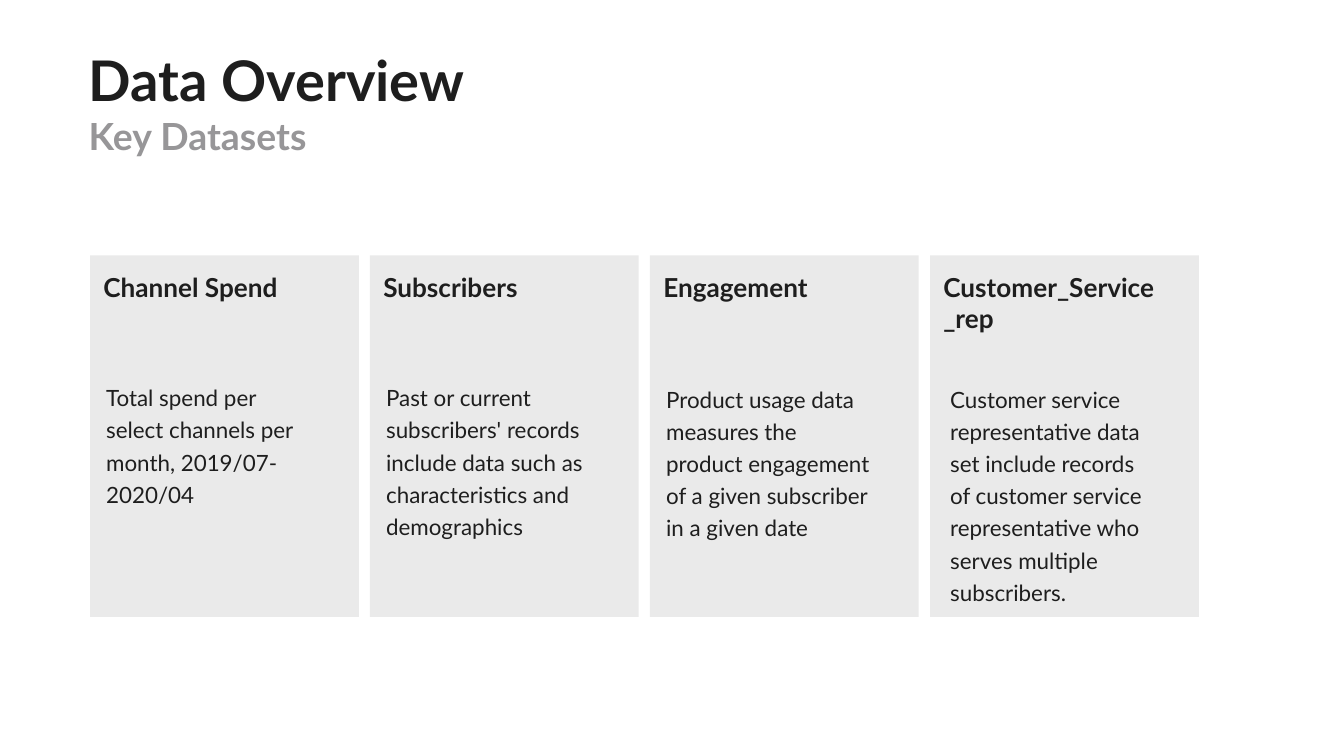
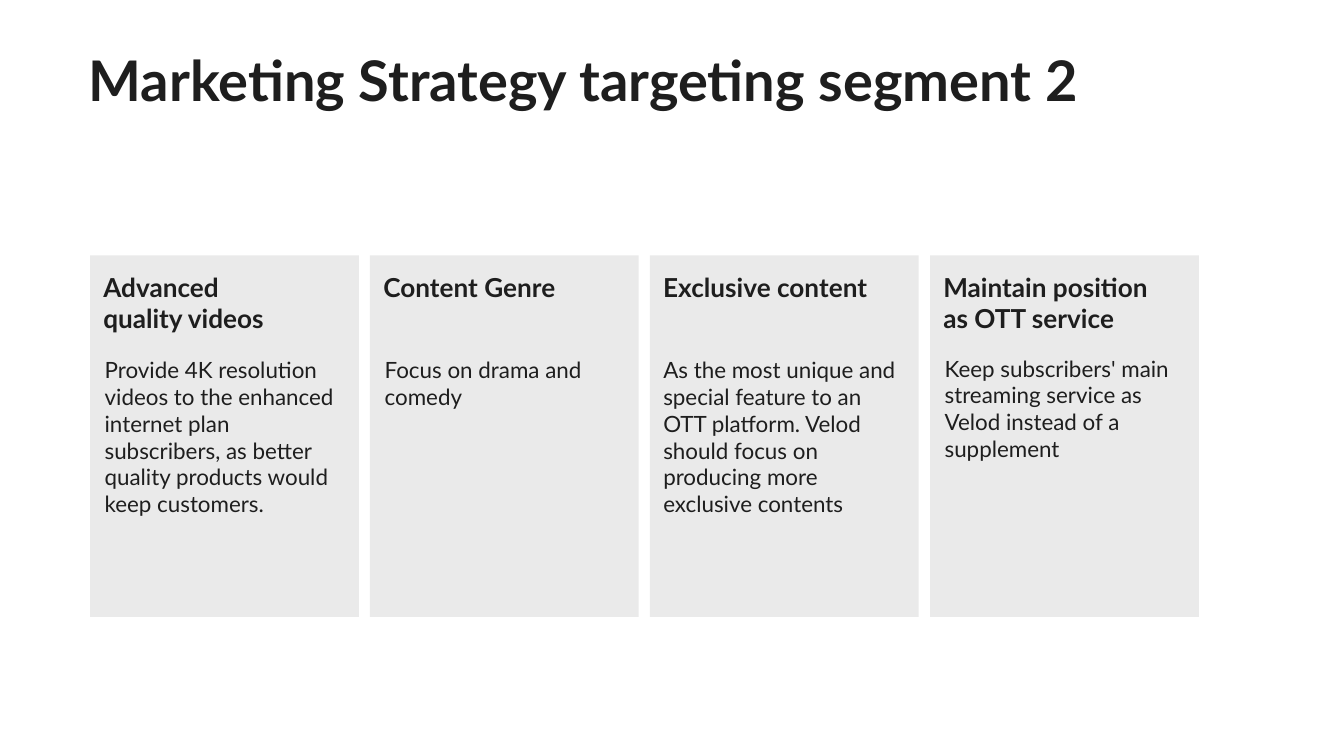
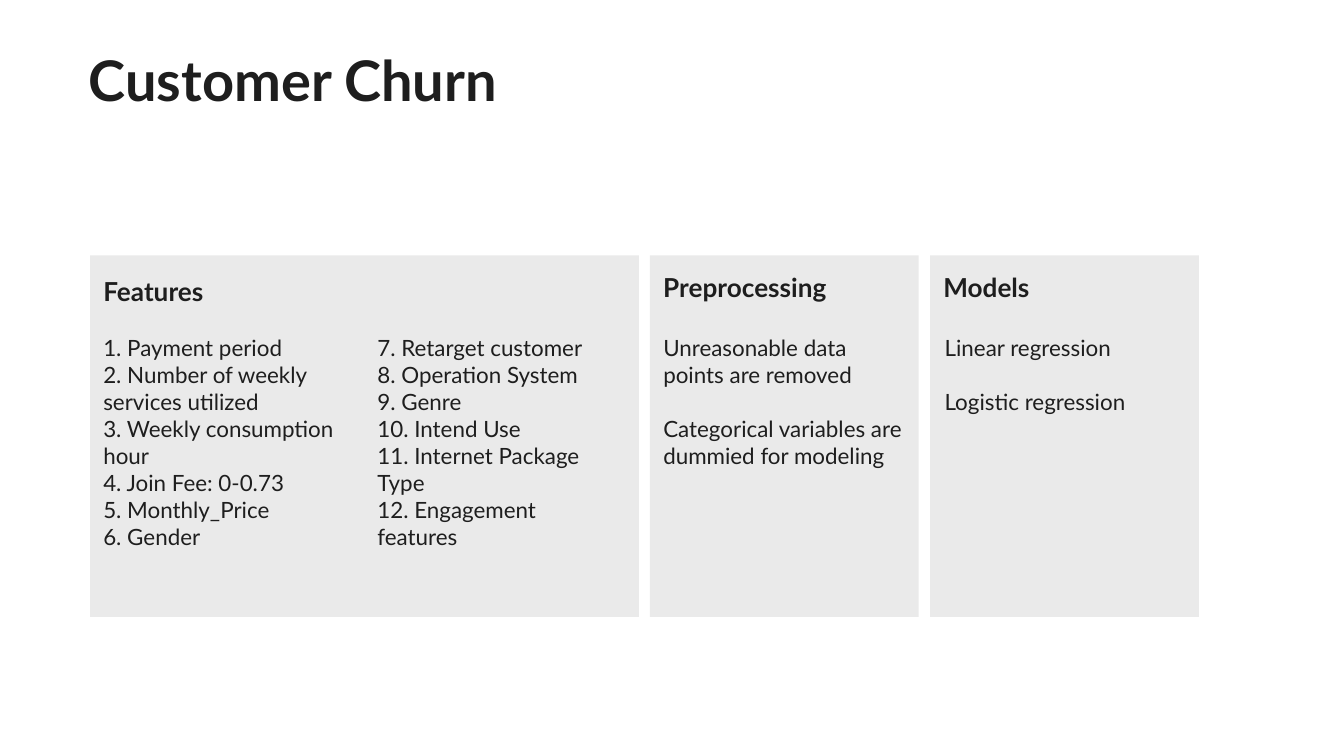
from dataclasses import dataclass

from pptx import Presentation
from pptx.dml.color import RGBColor
from pptx.enum.shapes import MSO_SHAPE
from pptx.enum.text import MSO_ANCHOR, MSO_AUTO_SIZE, PP_ALIGN
from pptx.slide import Slide
from pptx.text.text import TextFrame
from pptx.util import Inches, Pt

INK = RGBColor(0x1E, 0x1E, 0x1E)
MUTED = RGBColor(0x97, 0x96, 0x98)
PANEL = RGBColor(0xEA, 0xEA, 0xEA)
FONT = "Lato"

WIDTH = 10
HEIGHT = WIDTH * 9 / 16
LEFT, RIGHT = 0.67, 8.92
TOP, CARD_W, CARD_H = 1.9, 2, 2.69
PITCH = (RIGHT - LEFT - CARD_W) / 3
HEAD_H = {1: 0.34, 2: 0.57}
TIGHT = (0.02, 0.02)
ROOMY = (0.1, 0.05)


@dataclass(frozen=True)
class Body:
    """Text of a card, placed from the card's left edge and the slide's top."""
    lines: tuple[str, ...]
    top: float
    high: float
    shift: float = 0
    wide: float = 1.99
    inset: tuple[float, float] = ROOMY
    pitch: float = 1
    gap: float = 0


@dataclass(frozen=True)
class Card:
    head: str
    bodies: tuple[Body, ...]
    span: int = 1
    wide: float = 1.69
    rows: int = 1
    drop: float = 0.07


@dataclass(frozen=True)
class Page:
    title: str
    cards: tuple[Card, ...]
    sub: str = ""
    wide: float = 8.47


def loose(text: str, top: float = 2.8, shift: float = 0.1) -> Body:
    """Body with open line spacing and thin insets."""
    return Body((text,), top, 0.9, shift, 1.6, TIGHT, 1.2)


PAGES = (
    Page("Data Overview", (
        Card("Channel Spend", (loose(
            "Total spend per select channels per month, 2019/07- 2020/04"),)),
        Card("Subscribers", (loose(
            "Past or current subscribers' records include data such as "
            "characteristics and demographics"),)),
        Card("Engagement", (loose(
            "Product usage data measures the product engagement of a given "
            "subscriber in a given date", 2.81),)),
        Card("Customer_Service_rep", (loose(
            "Customer service representative data set include records of "
            "customer service representative who serves multiple "
            "subscribers.", 2.81, 0.13),), wide=1.85, rows=2),
    ), sub="Key Datasets", wide=4.11),
    Page("Marketing Strategy targeting segment 2", (
        Card("Advanced quality videos", (Body((
            "Provide 4K resolution videos to the enhanced internet plan "
            "subscribers, as better quality products would keep customers.",
        ), 2.6, 1.72, 0.01),), rows=2),
        Card("Content Genre", (Body((
            "Focus on drama and comedy",), 2.6, 0.71, 0.01),)),
        Card("Exclusive content", (Body((
            "As the most unique and special feature to an OTT platform. Velod "
            "should focus on producing more exclusive contents",
        ), 2.6, 1.31),), wide=1.93),
        Card("Maintain position as OTT service", (Body((
            "Keep subscribers' main streaming service as Velod instead of a "
            "supplement",), 2.59, 0.91, 0.01),), wide=1.85, rows=2),
    )),
    Page("Customer Churn", (
        Card("Features", (
            Body(("1. Payment period", "2. Number of weekly services utilized",
                  "3. Weekly consumption hour", "4. Join Fee: 0-0.73",
                  "5. Monthly_Price", "6. Gender"), 2.44, 2.12),
            Body(("7. Retarget customer", "8. Operation System", "9. Genre",
                  "10. Intend Use", "11. Internet Package Type",
                  "12. Engagement features"), 2.44, 1.92, 2.04),
        ), span=2, drop=0.1),
        Card("Preprocessing", (Body((
            "Unreasonable data points are removed",
            "Categorical variables are dummied for modeling",
        ), 2.44, 1.51, gap=14.4),), wide=1.93),
        Card("Models", (Body((
            "Linear regression", "Logistic regression",
        ), 2.44, 0.71, 0.01, gap=14.4),), wide=1.85),
    )),
)


def set_frame(frame: TextFrame, inset: tuple[float, float]) -> None:
    frame.word_wrap = True
    frame.auto_size = MSO_AUTO_SIZE.NONE
    frame.vertical_anchor = MSO_ANCHOR.TOP
    frame.margin_left = frame.margin_right = Inches(inset[0])
    frame.margin_top = frame.margin_bottom = Inches(inset[1])


def add_line(frame: TextFrame, text: str, size: float, first: bool,
             bold: bool = False, color: RGBColor = INK,
             pitch: float = 1, gap: float = 0) -> None:
    """Write one paragraph; the gap stands above all but the first."""
    line = frame.paragraphs[0] if first else frame.add_paragraph()
    line.alignment = PP_ALIGN.LEFT
    line.line_spacing = pitch
    line.space_before = Pt(0 if first else gap)
    run = line.add_run()
    run.text = text
    font = run.font
    font.name, font.size, font.bold = FONT, Pt(size), bold
    font.color.rgb = color


def add_box(slide: Slide, left: float, top: float, wide: float, high: float,
            inset: tuple[float, float]) -> TextFrame:
    box = slide.shapes.add_textbox(
        Inches(left), Inches(top), Inches(wide), Inches(high))
    set_frame(box.text_frame, inset)
    return box.text_frame


def set_title(slide: Slide, page: Page) -> None:
    title = slide.shapes.title
    title.left, title.top = Inches(0.64), Inches(0.32)
    title.width, title.height = Inches(page.wide), Inches(0.98)
    frame = title.text_frame
    set_frame(frame, TIGHT)
    add_line(frame, page.title, 30, True, bold=True)
    if page.sub:
        add_line(frame, page.sub, 20, False, bold=True, color=MUTED)


def add_card(slide: Slide, card: Card, col: int) -> None:
    left = LEFT + col * PITCH
    wide = CARD_W + (card.span - 1) * PITCH
    panel = slide.shapes.add_shape(
        MSO_SHAPE.RECTANGLE, Inches(left), Inches(TOP),
        Inches(wide), Inches(CARD_H))
    panel.shadow.inherit = False
    panel.fill.solid()
    panel.fill.fore_color.rgb = PANEL
    panel.line.fill.background()

    head = add_box(slide, left, TOP + card.drop, card.wide,
                   HEAD_H[card.rows], ROOMY)
    head.auto_size = MSO_AUTO_SIZE.SHAPE_TO_FIT_TEXT
    add_line(head, card.head, 14, True, bold=True)

    for body in card.bodies:
        frame = add_box(slide, left + body.shift, body.top, body.wide,
                        body.high, body.inset)
        for row, text in enumerate(body.lines):
            add_line(frame, text, 12, row == 0,
                     pitch=body.pitch, gap=body.gap)


def main() -> None:
    deck = Presentation()
    deck.slide_width, deck.slide_height = Inches(WIDTH), Inches(HEIGHT)
    layout = deck.slide_layouts.get_by_name("Title Only")
    for page in PAGES:
        slide = deck.slides.add_slide(layout)
        set_title(slide, page)
        col = 0
        for card in page.cards:
            add_card(slide, card, col)
            col += card.span
    deck.save("out.pptx")


if __name__ == "__main__":
    main()
